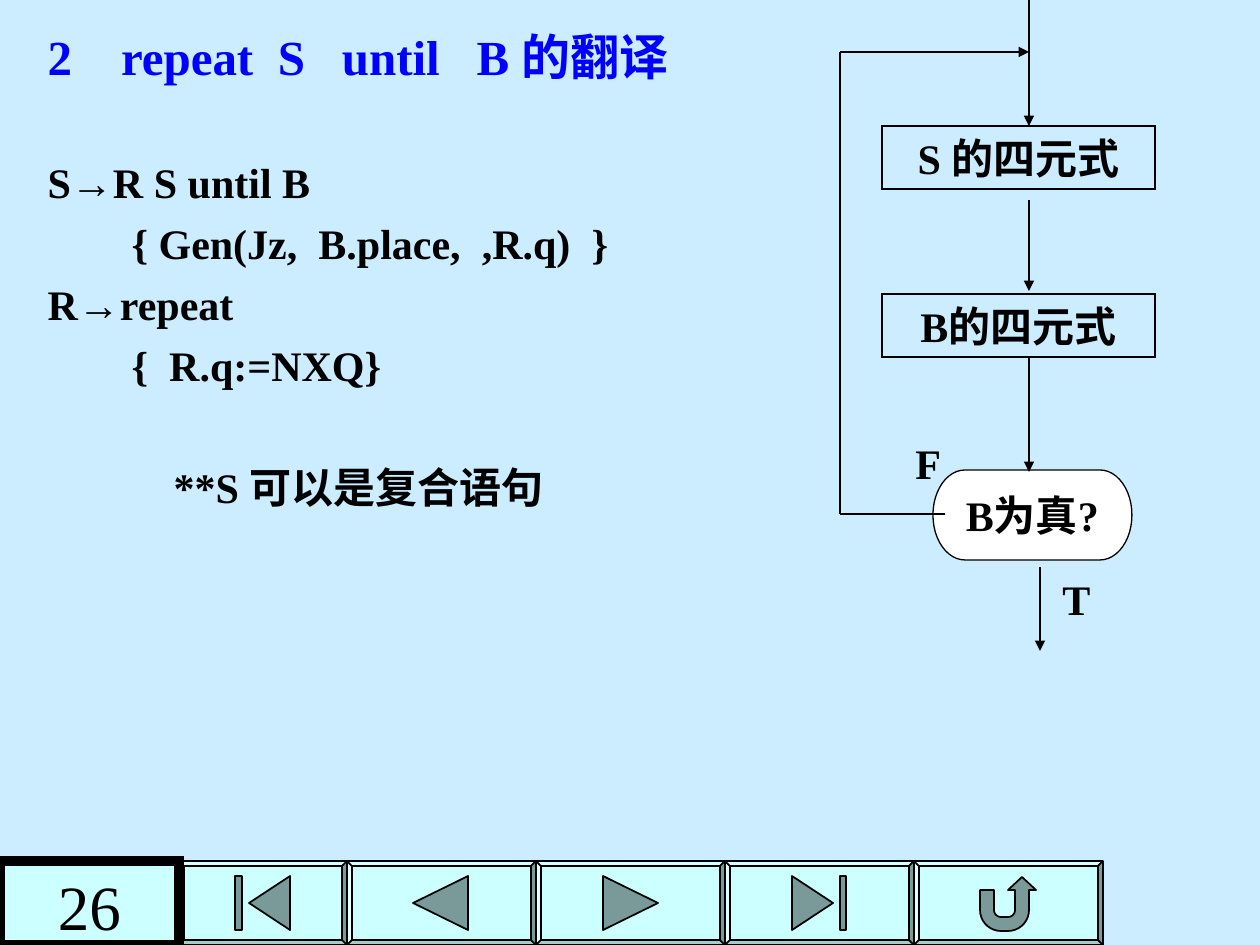
import math

from lxml import etree
from pptx import Presentation
from pptx.dml.color import RGBColor
from pptx.enum.shapes import MSO_CONNECTOR, MSO_SHAPE
from pptx.enum.text import MSO_ANCHOR, MSO_AUTO_SIZE, PP_ALIGN
from pptx.oxml.ns import qn
from pptx.util import Pt

STRAIGHT = MSO_CONNECTOR.STRAIGHT
RECTANGLE, BEVEL = MSO_SHAPE.RECTANGLE, MSO_SHAPE.BEVEL
TERMINATOR = MSO_SHAPE.FLOWCHART_TERMINATOR
TOP, MIDDLE = MSO_ANCHOR.TOP, MSO_ANCHOR.MIDDLE
LEFT, CENTER = PP_ALIGN.LEFT, PP_ALIGN.CENTER
NO_AUTOFIT = MSO_AUTO_SIZE.NONE

PX = 914400 / 126
FONT = "Times New Roman"
COLORS = {
    "background": "CCECFF",
    "title": "0000FF",
    "ink": "000000",
    "button": "CCFFFF",
    "icon": "7A9999",
    "decision": "FFFFFF",
}
COLORS = {name: RGBColor.from_string(value) for name, value in COLORS.items()}


def px(*lengths):
    return [round(length * PX) for length in lengths]


def write(shape, lines, size=24, color="ink", bold=True, align=LEFT, anchor=TOP, wrap=True):
    """Fill a shape with (pieces, indent in px, space before in pt) lines.

    A number among the pieces is one space widened by that many points.
    """
    frame = shape.text_frame
    frame.auto_size = NO_AUTOFIT
    frame.word_wrap = wrap
    frame.vertical_anchor = anchor
    for index, (pieces, indent, space_before) in enumerate(lines):
        paragraph = frame.add_paragraph() if index else frame.paragraphs[0]
        paragraph.alignment = align
        paragraph.space_before = Pt(space_before)
        properties = paragraph._p.get_or_add_pPr()
        properties.set("marL", str(px(indent)[0]))
        properties.set("indent", "0")
        etree.SubElement(properties, qn("a:buNone"))
        paragraph.font.name = FONT
        paragraph.font.size = Pt(size)
        paragraph.font.bold = bold
        paragraph.font.color.rgb = COLORS[color]
        for piece in pieces:
            run = paragraph.add_run()
            if isinstance(piece, str):
                run.text = piece
            else:
                run.text = " "
                run._r.get_or_add_rPr().set("spc", str(piece * 100))


presentation = Presentation()
presentation.slide_width, presentation.slide_height = px(1260, 945)
slide = presentation.slides.add_slide(presentation.slide_layouts[1])
slide.background.fill.solid()
slide.background.fill.fore_color.rgb = COLORS["background"]
shapes = slide.shapes

# Title and grammar rules
title, body = shapes.title, slide.placeholders[1]
title.left, title.top, title.width, title.height = px(35, 20, 700, 75)
write(title, [(["2", 21, "repeat", 7, "S", 14, "until", 14, "B 的翻译"], 0, 0)], 28, "title")

body.left, body.top, body.width, body.height = px(35, 150, 660, 370)
write(body, [
    (["S→R S until B"], 0, 0),
    (["{ Gen(Jz,", 6, "B.place,", 6, ",R.q)", 6, "}"], 84, 6),
    (["R→repeat"], 0, 6),
    (["{", 6, "R.q:=NXQ}"], 84, 6),
    (["**S 可以是复合语句"], 126, 41),
])

# Navigation buttons
button_edges = [179, 347, 536, 725, 914, 1103]
for left, right in zip(button_edges, button_edges[1:]):
    button = shapes.add_shape(BEVEL, *px(left, 861, right - left, 84))
    button.adjustments[0] = 0.06
    button.shadow.inherit = False
    button.fill.solid()
    button.fill.fore_color.rgb = COLORS["button"]
    button.line.color.rgb = COLORS["ink"]
    button.line.width = Pt(1)

outer_arc, inner_arc = [
    [(center + radius * math.cos(math.radians(angle)),
      910 + radius * math.sin(math.radians(angle)))
     for center, angles in ((1008, range(0, 91, 10)), (1001, range(90, 181, 10)))
     for angle in angles]
    for radius in (21, 7)
]
return_arrow = [(980, 890), (994, 890), *reversed(inner_arc), (1015, 890), (1008, 890),
                (1022, 877), (1036, 890), (1029, 890), *outer_arc]
icons = [
    [(235, 876), (242, 876), (242, 930), (235, 930)],
    [(249, 903), (290, 876), (290, 930)],
    [(413, 903), (468, 876), (468, 930)],
    [(658, 903), (603, 876), (603, 930)],
    [(833, 903), (792, 876), (792, 930)],
    [(840, 876), (846, 876), (846, 930), (840, 930)],
    return_arrow,
]
for points in icons:
    start, *others = [px(*point) for point in points]
    builder = shapes.build_freeform(*start)
    builder.add_line_segments(others, close=True)
    icon = builder.convert_to_shape()
    icon.shadow.inherit = False
    icon.fill.solid()
    icon.fill.fore_color.rgb = COLORS["icon"]
    icon.line.color.rgb = COLORS["ink"]
    icon.line.width = Pt(1)

# Flowchart nodes and page number
nodes = [
    ("S 的四元式", RECTANGLE, (882, 126, 273, 63), None, 0.75),
    ("B为真?", TERMINATOR, (933, 470, 199, 90), "decision", 0.75),
    ("B的四元式", RECTANGLE, (882, 294, 273, 63), None, 0.75),
    ("26", RECTANGLE, (0, 861, 179, 84), "button", 6),
]
for text, kind, box, fill, line_width in nodes:
    node = shapes.add_shape(kind, *px(*box))
    node.shadow.inherit = False
    if fill:
        node.fill.solid()
        node.fill.fore_color.rgb = COLORS[fill]
    else:
        node.fill.background()
    node.line.color.rgb = COLORS["ink"]
    node.line.width = Pt(line_width)
    etree.SubElement(node.line._get_or_add_ln(), qn("a:miter"), lim="800000")
    if text == "26":
        write(node, [([text], 0, 0)], 36, bold=False, align=CENTER)
    else:
        write(node, [([text], 0, 0)], align=CENTER, anchor=MIDDLE, wrap=False)

# Flow lines: start, end, arrowhead
flow_lines = [
    ((1029, 200), (1029, 291), True),
    ((1029, 357), (1029, 472), True),
    ((1040, 567), (1040, 651), True),
    ((1029, 0), (1029, 126), True),
    ((945, 514), (840, 514), False),
    ((840, 52), (840, 514), False),
    ((840, 52), (1029, 52), True),
]
for start, end, arrow in flow_lines:
    connector = shapes.add_connector(STRAIGHT, *px(*start, *end))
    connector.line.color.rgb = COLORS["ink"]
    connector.line.width = Pt(0.75)
    if arrow:
        etree.SubElement(connector.line._get_or_add_ln(), qn("a:tailEnd"), type="triangle")
    etree.SubElement(connector._element.spPr, qn("a:effectLst"))

# Branch labels
for text, left, top in (("F", 903, 431), ("T", 1050, 567)):
    label = shapes.add_textbox(*px(left, top, 54, 63))
    write(label, [([text], 0, 0)], wrap=False)

presentation.save("out.pptx")
